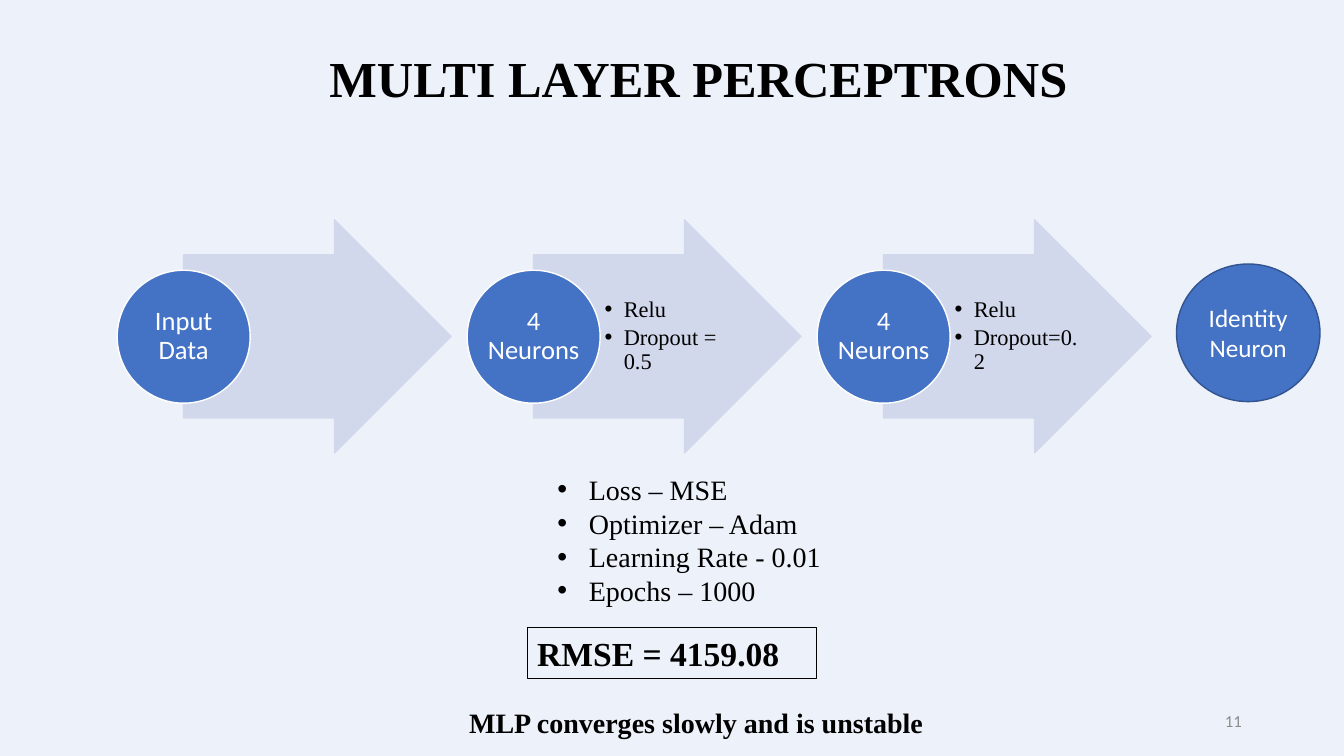
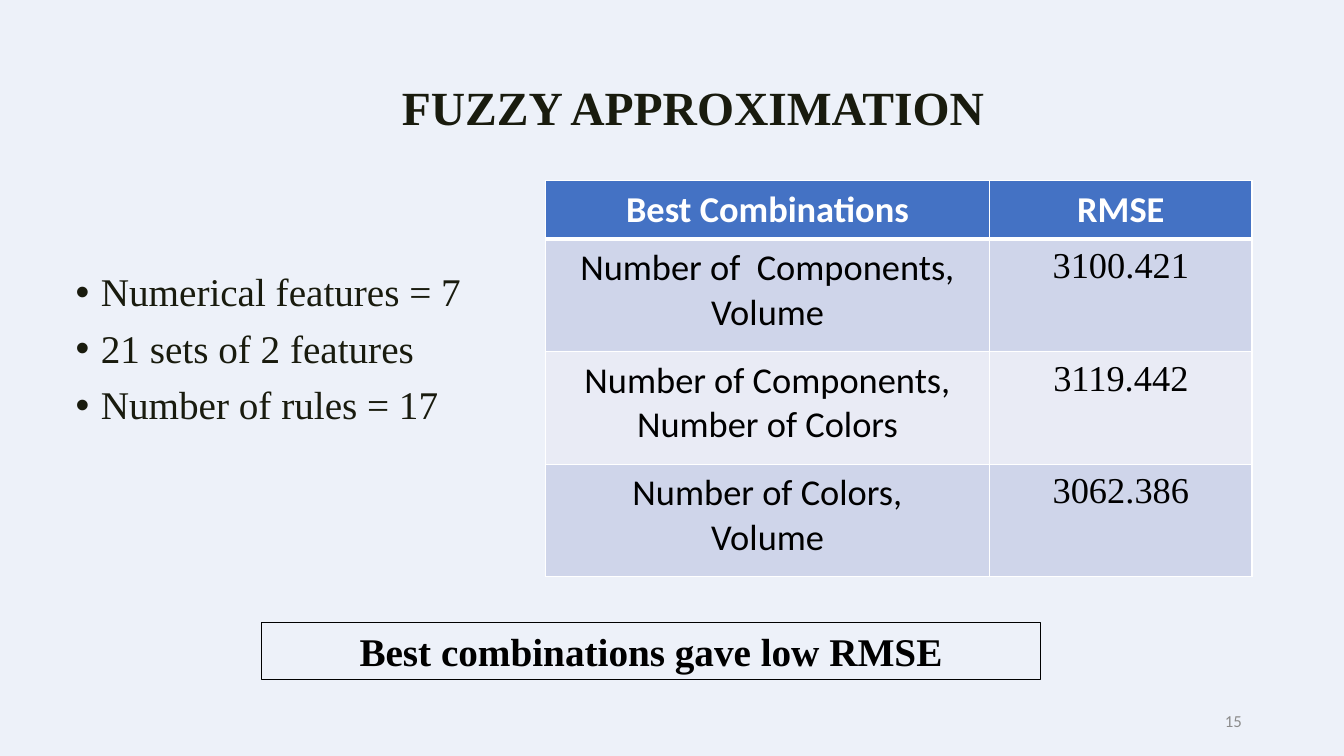
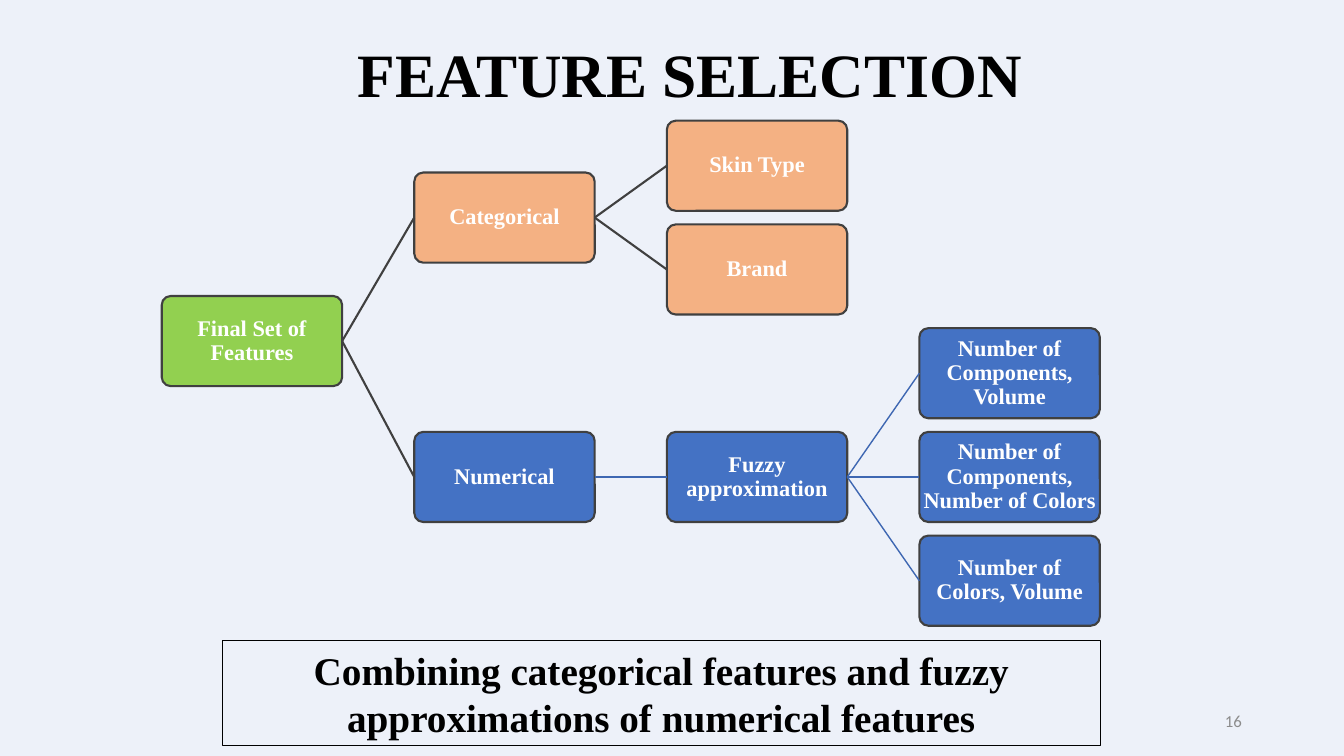
from dataclasses import dataclass
from typing import Optional

from lxml import etree
from pptx import Presentation
from pptx.dml.color import RGBColor
from pptx.enum.shapes import MSO_CONNECTOR, MSO_SHAPE
from pptx.enum.text import MSO_ANCHOR, PP_ALIGN
from pptx.oxml.ns import qn
from pptx.util import Pt

LEFT, CENTER, RIGHT = PP_ALIGN.LEFT, PP_ALIGN.CENTER, PP_ALIGN.RIGHT
TOP, MIDDLE = MSO_ANCHOR.TOP, MSO_ANCHOR.MIDDLE
RECTANGLE, ELLIPSE = MSO_SHAPE.RECTANGLE, MSO_SHAPE.OVAL
ARROW, ROUNDED = MSO_SHAPE.RIGHT_ARROW, MSO_SHAPE.ROUNDED_RECTANGLE
STRAIGHT = MSO_CONNECTOR.STRAIGHT
RIGHT_SITE, LEFT_SITE = 3, 1

SERIF, SANS = "Times New Roman", "Calibri"
BACKGROUND, BLACK, WHITE = "EDF1F9", "000000", "FFFFFF"
BLUE, DARK_BLUE, LINK_BLUE = "4472C4", "325491", "3E67B2"
ARROW_BLUE, BAND_DARK, BAND_LIGHT = "D2D8EC", "CFD5EA", "E9EBF5"
GREEN, ORANGE, CHARCOAL = "92D050", "F4B183", "404040"
OLIVE, GRAY = "191B0E", "8C8C8C"


@dataclass(frozen=True)
class Area:
    left: float
    top: float
    width: float
    height: float

    def lengths(self) -> tuple:
        return Pt(self.left), Pt(self.top), Pt(self.width), Pt(self.height)


@dataclass(frozen=True)
class Style:
    size: float
    color: str = BLACK
    font: str = SERIF
    bold: bool = False
    align: PP_ALIGN = LEFT
    anchor: MSO_ANCHOR = TOP
    line_spacing: float = 1.0
    space_between: float = 0
    indent: float = 0
    bullet: bool = False
    insets: tuple = (7.2, 3.6, 7.2, 3.6)


@dataclass(frozen=True)
class Layer:
    label: str
    details: str = ""


@dataclass(frozen=True)
class Node:
    label: str
    column: int
    row: float
    fill: str
    parent: Optional[int] = None
    link_color: str = CHARCOAL
    link_width: float = 1.5


LAYERS = [
    Layer("Input Data"),
    Layer("4 Neurons", "Relu\nDropout = 0.5"),
    Layer("4 Neurons", "Relu\nDropout=0.2"),
]

RESULTS = [
    ("Best Combinations", "RMSE"),
    ("Number of  Components,\nVolume", "3100.421"),
    ("Number of Components, Number of Colors", "3119.442"),
    ("Number of Colors,\nVolume", "3062.386"),
]

NODES = [
    Node("Final Set of Features", 0, 1.69, GREEN),
    Node("Categorical", 1, 0.5, ORANGE, 0),
    Node("Skin Type", 2, 0, ORANGE, 1),
    Node("Brand", 2, 1, ORANGE, 1),
    Node("Numerical", 1, 3, BLUE, 0),
    Node("Fuzzy approximation", 2, 3, BLUE, 4, LINK_BLUE, 1),
    Node("Number of Components, Volume", 3, 2, BLUE, 5, LINK_BLUE, 1),
    Node("Number of Components, Number of Colors", 3, 3, BLUE, 5, LINK_BLUE, 1),
    Node("Number of Colors, Volume", 3, 4, BLUE, 5, LINK_BLUE, 1),
]


def rgb(color: str) -> RGBColor:
    return RGBColor.from_string(color)


def write(frame, text: str, style: Style) -> None:
    """Fill a text frame, one paragraph to a line, and format it."""
    frame.text = text
    for index, para in enumerate(frame.paragraphs):
        properties = para._p.get_or_add_pPr()
        if style.indent:
            properties.set("marL", str(Pt(style.indent)))
            properties.set("indent", str(-Pt(style.indent) if style.bullet else 0))
        if style.bullet:
            font = etree.SubElement(properties, qn("a:buFont"))
            font.set("typeface", "Arial")
            etree.SubElement(properties, qn("a:buChar")).set("char", "•")
        para.alignment = style.align
        para.line_spacing = style.line_spacing
        para.space_before = Pt(style.space_between if index else 0)
        for span in para.runs:
            span.font.name = style.font
            span.font.size = Pt(style.size)
            span.font.bold = style.bold
            span.font.color.rgb = rgb(style.color)


def write_box(box, text: str, style: Style, wrap: bool = True) -> None:
    frame = box.text_frame
    frame.word_wrap = wrap
    frame.vertical_anchor = style.anchor
    (frame.margin_left, frame.margin_top,
     frame.margin_right, frame.margin_bottom) = map(Pt, style.insets)
    write(frame, text, style)


def add_text(page, area: Area, text: str, style: Style, wrap: bool = True) -> None:
    write_box(page.shapes.add_textbox(*area.lengths()), text, style, wrap)


def add_shape(page, kind, area: Area, fill: Optional[str], line: str, width: float):
    shape = page.shapes.add_shape(kind, *area.lengths())
    shape.shadow.inherit = False
    if fill:
        shape.fill.solid()
        shape.fill.fore_color.rgb = rgb(fill)
    else:
        shape.fill.background()
    shape.line.color.rgb = rgb(line)
    shape.line.width = Pt(width)
    return shape


def add_note(page, area: Area, text: str, size: float, align=CENTER) -> None:
    """Draw a thin black frame round a bold statement."""
    box = add_shape(page, RECTANGLE, area, None, BLACK, 0.75)
    write_box(box, text, Style(size, bold=True, align=align, anchor=MIDDLE))


def add_page(deck, number: int, title: str, area: Area, size: float,
             color: str = BLACK, align=LEFT, indent: float = 0):
    page = deck.slides.add_slide(deck.slide_layouts[6])
    page.background.fill.solid()
    page.background.fill.fore_color.rgb = rgb(BACKGROUND)
    add_text(page, area, title, Style(size, color, bold=True, align=align, anchor=MIDDLE,
                                      line_spacing=0.9, indent=indent))
    add_text(page, Area(678.2, 500.5, 216, 28.8), str(number),
             Style(12, GRAY, SANS, align=RIGHT, anchor=MIDDLE))
    return page


def add_layer(page, layer: Layer, left: float) -> None:
    arrow = add_shape(page, ARROW, Area(left + 47.5, 157, 191, 166.5),
                      ARROW_BLUE, ARROW_BLUE, 1)
    arrow.adjustments[0], arrow.adjustments[1] = 0.7, 0.5
    if layer.details:
        add_text(page, Area(left + 95.3, 182, 93, 116.6), layer.details,
                 Style(16, anchor=MIDDLE, line_spacing=0.9, space_between=2.4,
                       indent=13.7, bullet=True, insets=(2.9, 0.7, 1.4, 0.7)))
    circle = add_shape(page, ELLIPSE, Area(left, 193, 95, 95), BLUE, WHITE, 1)
    write_box(circle, layer.label, Style(19, WHITE, SANS, align=CENTER, anchor=MIDDLE,
                                         line_spacing=0.9, insets=(0.7,) * 4))


def build_perceptrons(deck) -> None:
    page = add_page(deck, 11, "MULTI LAYER PERCEPTRONS",
                    Area(84.2, 0, 756, 116.6), 36, indent=144)
    for index, layer in enumerate(LAYERS):
        add_layer(page, layer, 83.7 + 250 * index)
    add_text(page, Area(391, 334, 206.6, 104.4),
             "Loss – MSE\nOptimizer – Adam\nLearning Rate - 0.01\nEpochs – 1000",
             Style(20, indent=22.5, bullet=True))
    add_note(page, Area(376.6, 448.5, 206.6, 36.3), "RMSE = 4159.08", 24, LEFT)
    neuron = add_shape(page, ELLIPSE, Area(840.4, 188.6, 102.5, 98.3), BLUE, DARK_BLUE, 1)
    write_box(neuron, "Identity Neuron",
              Style(18, WHITE, SANS, align=CENTER, anchor=MIDDLE))
    add_text(page, Area(328, 500.4, 341.3, 31.5), "MLP converges slowly and is unstable",
             Style(20, bold=True), wrap=False)


def add_borders(cell, bottom: float) -> None:
    properties = cell._tc.get_or_add_tcPr()
    widths = {"a:lnL": 1, "a:lnR": 1, "a:lnT": 1, "a:lnB": bottom}
    for position, (tag, width) in enumerate(widths.items()):
        line = etree.Element(qn(tag))
        line.set("w", str(Pt(width)))
        fill = etree.SubElement(line, qn("a:solidFill"))
        etree.SubElement(fill, qn("a:srgbClr")).set("val", WHITE)
        properties.insert(position, line)


def add_results(page) -> None:
    area = Area(389.6, 128.8, 504.7, 283.2)
    table = page.shapes.add_table(len(RESULTS), 2, *area.lengths()).table
    for column, width in zip(table.columns, (317.5, 187.2)):
        column.width = Pt(width)
    for row_index, values in enumerate(RESULTS):
        header = row_index == 0
        table.rows[row_index].height = Pt(42 if header else 80.4)
        band = BAND_DARK if row_index % 2 else BAND_LIGHT
        for column_index, value in enumerate(values):
            cell = table.cell(row_index, column_index)
            cell.margin_left = cell.margin_right = Pt(10.8)
            cell.margin_top = cell.margin_bottom = Pt(5)
            cell.fill.solid()
            cell.fill.fore_color.rgb = rgb(BLUE if header else band)
            add_borders(cell, 3 if header else 1)
            font = SANS if header or column_index == 0 else SERIF
            write(cell.text_frame, value, Style(26, WHITE if header else BLACK, font,
                                                bold=header, align=CENTER))


def build_fuzzy(deck) -> None:
    page = add_page(deck, 15, "FUZZY APPROXIMATION",
                    Area(64, 31, 712.8, 95), 34, OLIVE, indent=216)
    add_text(page, Area(47, 191.5, 316, 273.6),
             "Numerical features = 7\n21 sets of 2 features\nNumber of rules = 17",
             Style(28, OLIVE, line_spacing=0.9, space_between=10, indent=18, bullet=True))
    add_results(page)
    add_note(page, Area(186.5, 444.4, 557, 41), "Best combinations gave low RMSE", 28)


def add_node(page, node: Node):
    area = Area(115.5 + 180.4 * node.column, 86.2 + 74.1 * node.row, 128.9, 64.4)
    shape = add_shape(page, ROUNDED, area, node.fill, CHARCOAL, 1.5)
    shape.adjustments[0] = 0.1
    write_box(shape, node.label, Style(16, WHITE, bold=True, align=CENTER, anchor=MIDDLE,
                                       line_spacing=0.9, insets=(0.7,) * 4))
    return shape


def add_link(page, parent, child, node: Node) -> None:
    link = page.shapes.add_connector(STRAIGHT, 0, 0, 0, 0)
    link.begin_connect(parent, RIGHT_SITE)
    link.end_connect(child, LEFT_SITE)
    link.line.color.rgb = rgb(node.link_color)
    link.line.width = Pt(node.link_width)
    etree.SubElement(link._element.spPr, qn("a:effectLst"))


def build_features(deck) -> None:
    page = add_page(deck, 16, "FEATURE SELECTION",
                    Area(115, -3, 756, 116.6), 44, align=CENTER)
    shapes = [add_node(page, node) for node in NODES]
    for node, shape in zip(NODES, shapes):
        if node.parent is not None:
            add_link(page, shapes[node.parent], shape, node)
    add_note(page, Area(158.6, 457.5, 627.4, 75),
             "Combining categorical features and fuzzy approximations of numerical features", 28)


def main() -> None:
    deck = Presentation()
    deck.slide_width, deck.slide_height = Pt(960), Pt(540)
    build_perceptrons(deck)
    build_fuzzy(deck)
    build_features(deck)
    deck.save("out.pptx")


if __name__ == "__main__":
    main()
